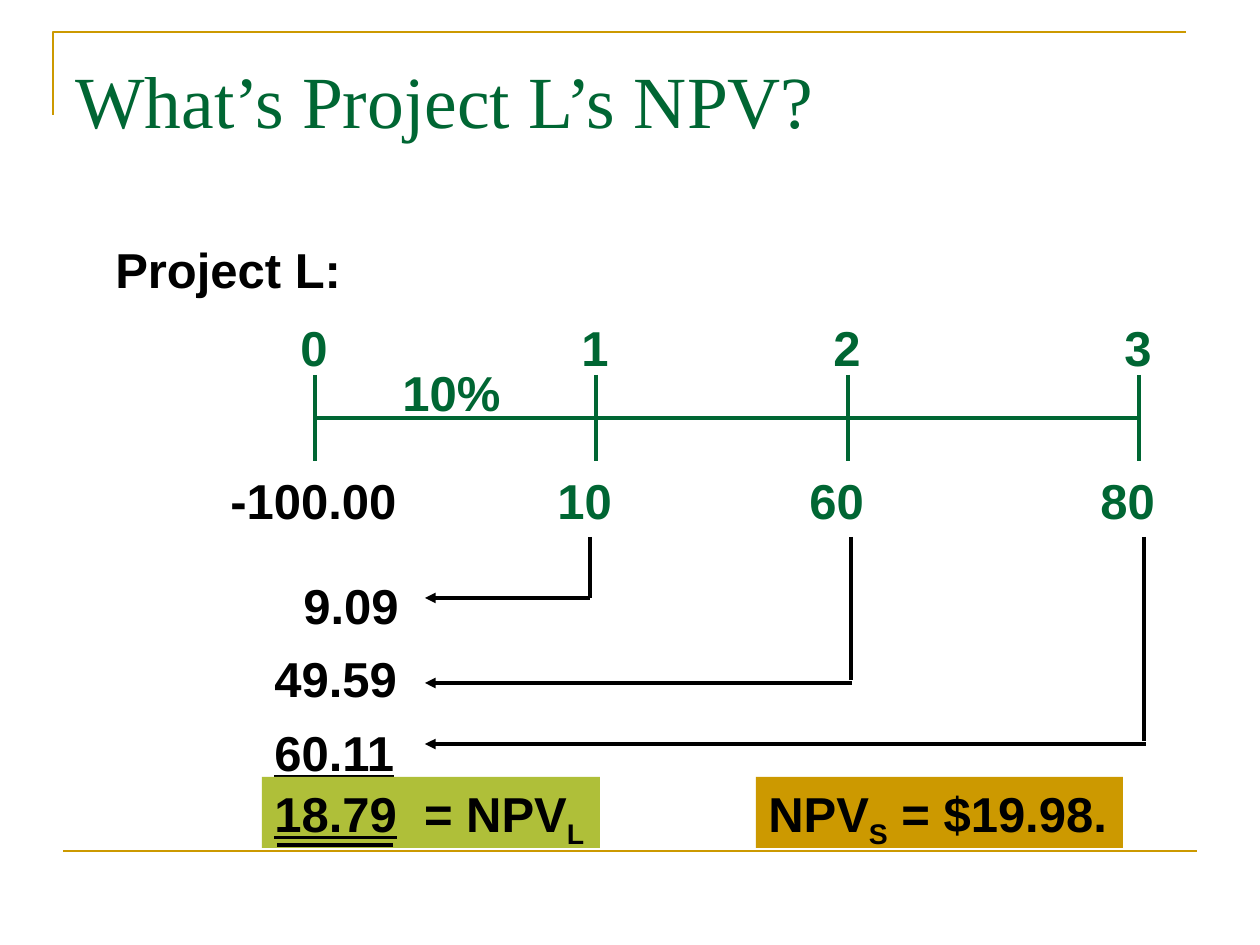
"""Build the slide that finds the NPV of Project L on a time line."""
from lxml.etree import SubElement
from pptx import Presentation
from pptx.dml.color import RGBColor
from pptx.enum.shapes import MSO_CONNECTOR as Link, MSO_SHAPE as Shape
from pptx.enum.text import MSO_ANCHOR as Anchor, MSO_AUTO_SIZE as Fit, PP_ALIGN as Align
from pptx.oxml.ns import qn
from pptx.util import Emu, Pt

GREEN, BLACK, GOLD, LIME = "006633", "000000", "CC9900", "AFBF39"
SCALE = 914400 / 126
ROW = 71

TITLE = "What’s Project L’s NPV?"
RATE = ("10%", 390, 356, 124)
NAME = ("Project L:", 103, 233, 252)
COST = ("-100.00", 218, 464, 193)
YEARS = [("0", 315), ("1", 596), ("2", 848), ("3", 1139)]
FLOWS = ["10", "60", "80"]
VALUES = [
    ("9.09", 291, 569, 122, {}),
    ("49.59", 262, 642, 149, {}),
    ("60.11", 262, 716, 149, {"under": True}),
]
PATHS = [(590, 590, 598, 598), (851, 852, 680, 683), (1144, 1146, 741, 744)]
NPV_L = [("18.79", {"under": True}), (" ", {"gap": 780}),
         ("= NPV", {}), ("L", {"base": -25000})]
NPV_S = [("NPV", {}), ("S", {"base": -25000}), (" = $19.98.", {})]
SUMS = [(NPV_L, 262, 338, LIME), (NPV_S, 756, 367, GOLD)]


def px(num):
    return Emu(round(num * SCALE))


def hue(code):
    return RGBColor.from_string(code)


def write(para, text, size=28, face="Arial", color=BLACK, bold=True,
          under=False, base=None, gap=None):
    run = para.add_run()
    run.text = text
    font = run.font
    font.size, font.name, font.bold = Pt(size), face, bold
    font.underline = under
    font.color.rgb = hue(color)
    props = run._r.get_or_add_rPr()
    if base:
        props.set("baseline", str(base))
    if gap:
        props.set("spc", str(gap))


def label(text, left, top, wide, **style):
    box = slide.shapes.add_textbox(px(left), px(top), px(wide), px(ROW))
    frame = box.text_frame
    frame.word_wrap = False
    frame.auto_size = Fit.SHAPE_TO_FIT_TEXT
    write(frame.paragraphs[0], text, **style)


def line(x1, y1, x2, y2, color=BLACK, width=2, arrow=False):
    link = slide.shapes.add_connector(
        Link.STRAIGHT, px(x1), px(y1), px(x2), px(y2))
    link.line.color.rgb = hue(color)
    link.line.width = Pt(width)
    if arrow:
        SubElement(link.line._get_or_add_ln(), qn("a:tailEnd"), type="triangle")
    SubElement(link._element.spPr, qn("a:effectLst"))


def result(parts, left, wide, fill):
    box = slide.shapes.add_shape(
        Shape.RECTANGLE, px(left), px(777), px(wide), px(ROW))
    box.shadow.inherit = False
    box.fill.solid()
    box.fill.fore_color.rgb = hue(fill)
    box.line.fill.background()
    frame = box.text_frame
    frame.word_wrap = False
    frame.vertical_anchor = Anchor.TOP
    para = frame.paragraphs[0]
    para.alignment = Align.LEFT
    for text, style in parts:
        write(para, text, **style)


def frame_page():
    pen = slide.shapes.build_freeform(53, 115, scale=SCALE)
    pen.add_line_segments([(53, 32), (1186, 32)], close=False)
    edge = pen.convert_to_shape()
    edge.shadow.inherit = False
    edge.fill.background()
    edge.line.color.rgb = hue(GOLD)
    edge.line.width = Pt(1.5)
    line(63, 851, 1197, 851, GOLD, 1.5)


def head():
    title = slide.shapes.title
    title.left, title.top, title.width, title.height = map(px, (63, 60, 1134, 79))
    frame = title.text_frame
    frame.vertical_anchor = Anchor.MIDDLE
    para = frame.paragraphs[0]
    para.alignment = Align.LEFT
    write(para, TITLE, size=42, face="Times New Roman", color=GREEN, bold=False)


def time_line():
    for year, mid in YEARS:
        line(mid, 375, mid, 461, GREEN)
        label(year, mid - 27, 311, 53, color=GREEN)
    line(YEARS[0][1], 418, YEARS[-1][1], 418, GREEN)
    for flow, (_, mid) in zip(FLOWS, YEARS[1:]):
        label(flow, mid - 51, 464, 81, color=GREEN)
    label(*RATE, color=GREEN)
    label(*NAME)
    label(*COST)


def discount():
    for text, left, top, wide, style in VALUES:
        label(text, left, top, wide, **style)
    for drop, start, low, level in PATHS:
        line(drop, 537, drop, low)
        line(start, level, 425, level, arrow=True)
    for total in SUMS:
        result(*total)
    line(277, 845, 393, 845)


deck = Presentation()
deck.slide_width, deck.slide_height = px(1260), px(945)
slide = deck.slides.add_slide(deck.slide_layouts[5])
frame_page()
head()
time_line()
discount()
deck.save("out.pptx")
